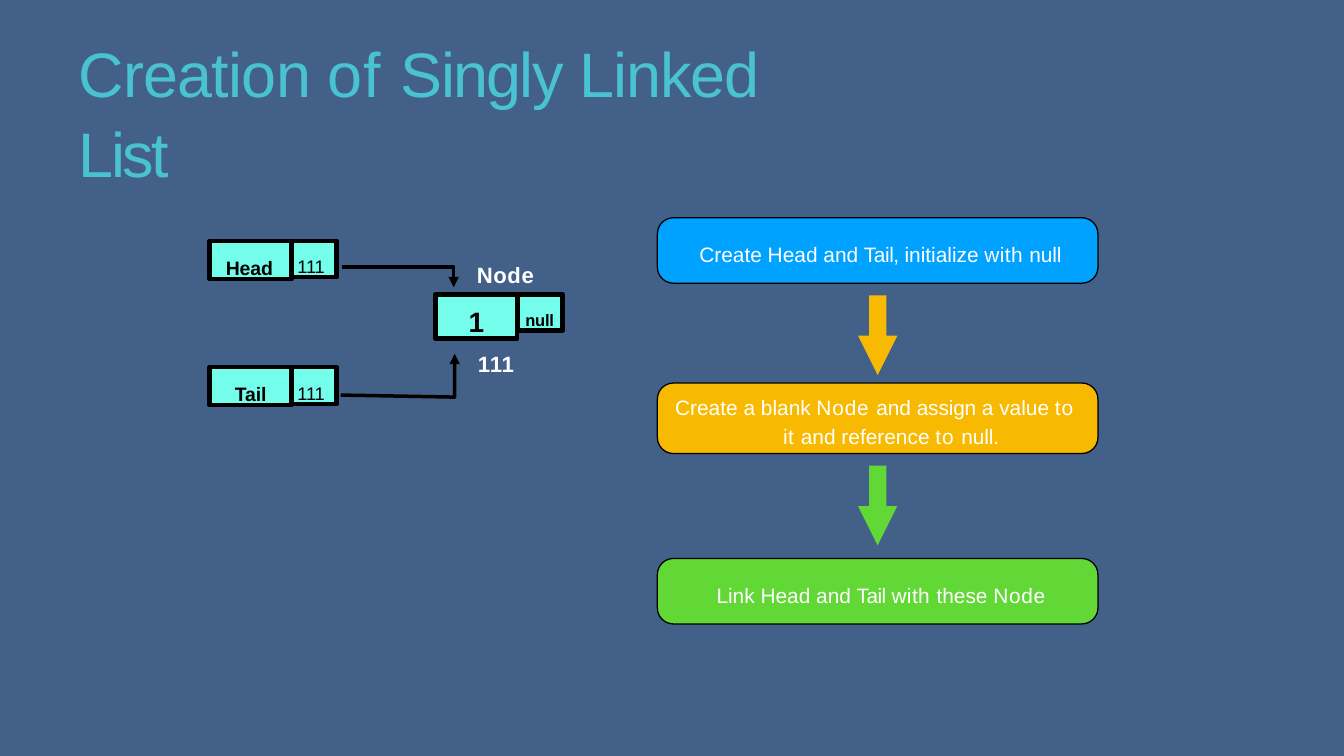
from lxml import etree
from pptx import Presentation
from pptx.dml.color import RGBColor
from pptx.enum import shapes, text
from pptx.oxml.ns import qn
from pptx.util import Inches, Pt

COLORS = {
    "background": "436089", "title": "49C3D2", "cell": "73FDEA",
    "black": "000000", "white": "FFFFFF",
    "blue": "00A2FF", "amber": "F8BA00", "green": "61D836",
}


def rgb(name):
    return RGBColor.from_string(COLORS[name])


def write(sp, runs, size, color, bold=False, left=0, top=0.01, right=0):
    """Fill a shape with one paragraph of (text, letter spacing in points) runs."""
    tf = sp.text_frame
    tf.word_wrap = True
    tf.auto_size = text.MSO_AUTO_SIZE.NONE
    tf.vertical_anchor = text.MSO_ANCHOR.TOP
    tf.margin_left, tf.margin_top = Inches(left), Inches(top)
    tf.margin_right, tf.margin_bottom = Inches(right), 0
    p = tf.paragraphs[0]
    p.alignment = text.PP_ALIGN.LEFT
    for words, spacing in runs:
        r = p.add_run()
        r.text = words
        r.font.name, r.font.size, r.font.bold = "Arial", Pt(size), bold
        r.font.color.rgb = rgb(color)
        r._r.get_or_add_rPr().set("spc", str(round(spacing * 100)))
    return p


prs = Presentation()
prs.slide_width, prs.slide_height = Inches(13.33), Inches(7.5)
s = prs.slides.add_slide(prs.slide_layouts[5])
s.background.fill.solid()
s.background.fill.fore_color.rgb = rgb("background")

# Title
title = s.shapes.title
title.left, title.top = Inches(0.22), Inches(0.28)
title.width, title.height = Inches(7.66), Inches(1.52)
p = write(title, [("Creation ", -0.5), ("of ", 0.7), ("Singly ", -1.2),
                  ("Linked ", -0.7), ("List", -1.8)],
          44.9, "title", left=0.56, top=0.03)
p.line_spacing = 1.05

# Cells of the list: left, top, width, height, label, size, bold, text left, text top
cells = [
    (4.32, 2.92, 0.81, 0.44, "1", 20, True, 0, 0.1),
    (5.13, 2.92, 0.45, 0.36, "null", 11.8, True, 0.08, 0.16),
    (2.08, 2.39, 0.81, 0.38, "Head", 13.9, True, 0.16, 0.15),
    (2.08, 3.64, 0.81, 0.38, "Tail", 13.9, True, 0.25, 0.15),
    (2.89, 2.39, 0.45, 0.36, "111", 13, False, 0.06, 0.14),
    (2.89, 3.64, 0.45, 0.37, "111", 13, False, 0.06, 0.15),
]
for x, y, w, h, label, size, bold, left, top in cells:
    sp = s.shapes.add_shape(shapes.MSO_SHAPE.RECTANGLE,
                            Inches(x), Inches(y), Inches(w), Inches(h))
    sp.shadow.inherit = False
    sp.fill.solid()
    sp.fill.fore_color.rgb = rgb("cell")
    sp.line.color.rgb = rgb("black")
    sp.line.width = Pt(3.3)
    spacing = 0 if label == "1" else -0.1
    p = write(sp, [(label, spacing)], size, "black", bold, left, top)
    if label == "1":
        p.alignment = text.PP_ALIGN.CENTER

# Labels above and below the node
for x, y, w, label, spacing in [(4.72, 2.58, 0.62, "Node", 0.4),
                                (4.73, 3.47, 0.43, "111", 0.6)]:
    box = s.shapes.add_textbox(Inches(x), Inches(y), Inches(w), Inches(0.28))
    write(box, [(label, spacing)], 15.8, "white", True, left=0.01)

# Bent pointers from Head and Tail to the node
for points in [[(3.39, 2.65), (4.5, 2.65), (4.5, 2.85)],
               [(3.38, 3.92), (4.51, 3.94), (4.51, 3.51)]]:
    start, *rest = [(Inches(x), Inches(y)) for x, y in points]
    builder = s.shapes.build_freeform(*start)
    builder.add_line_segments(rest, close=False)
    pointer = builder.convert_to_shape()
    pointer.shadow.inherit = False
    pointer.fill.background()
    pointer.line.color.rgb = rgb("black")
    pointer.line.width = Pt(2.5)
    etree.SubElement(pointer.line._get_or_add_ln(), qn("a:tailEnd"),
                     type="triangle", w="med", len="med")

# Steps: top, height, colour, text left, text top, runs
steps = [
    (2.16, 0.65, "blue", 0.37, 0.19,
     [("Create Head and ", 0), ("Tail, ", -0.3), ("initialize ", 0),
      ("with ", 0.3), ("null", -0.1)]),
    (3.8, 0.7, "amber", 0.12, 0.03,
     [("Create a blank ", 0), ("Node ", 0.6), ("and ", 0), ("assign ", -0.1),
      ("a value ", 0), ("to ", 0.7), ("it ", 0.4), ("and reference ", 0),
      ("to ", 0.7), ("null.", -0.1)]),
    (5.54, 0.65, "green", 0.54, 0.19,
     [("Link Head and ", 0), ("Tail ", -0.4), ("with ", 0.3),
      ("these ", 0), ("Node", 0.5)]),
]
for y, h, color, left, top, runs in steps:
    step = s.shapes.add_shape(shapes.MSO_SHAPE.ROUNDED_RECTANGLE,
                              Inches(6.52), Inches(y), Inches(4.37), Inches(h))
    step.adjustments[0] = 0.16 / h
    step.shadow.inherit = False
    step.fill.solid()
    step.fill.fore_color.rgb = rgb(color)
    step.line.color.rgb = rgb("black")
    step.line.width = Pt(0.9)
    p = write(step, runs, 14.9, "white", left=left, top=top, right=0.18)
    if color == "amber":
        p.line_spacing = 1.15
        pPr = p._p.get_or_add_pPr()
        pPr.set("marL", str(Inches(1.08)))
        pPr.set("indent", str(Inches(-1.07)))

# Arrows between the steps
for y, color in [(2.93, "amber"), (4.62, "green")]:
    arrow = s.shapes.add_shape(shapes.MSO_SHAPE.DOWN_ARROW,
                               Inches(8.51), Inches(y), Inches(0.39), Inches(0.79))
    arrow.adjustments[0], arrow.adjustments[1] = 0.44, 1
    arrow.shadow.inherit = False
    arrow.fill.solid()
    arrow.fill.fore_color.rgb = rgb(color)
    arrow.line.fill.background()

prs.save("out.pptx")
